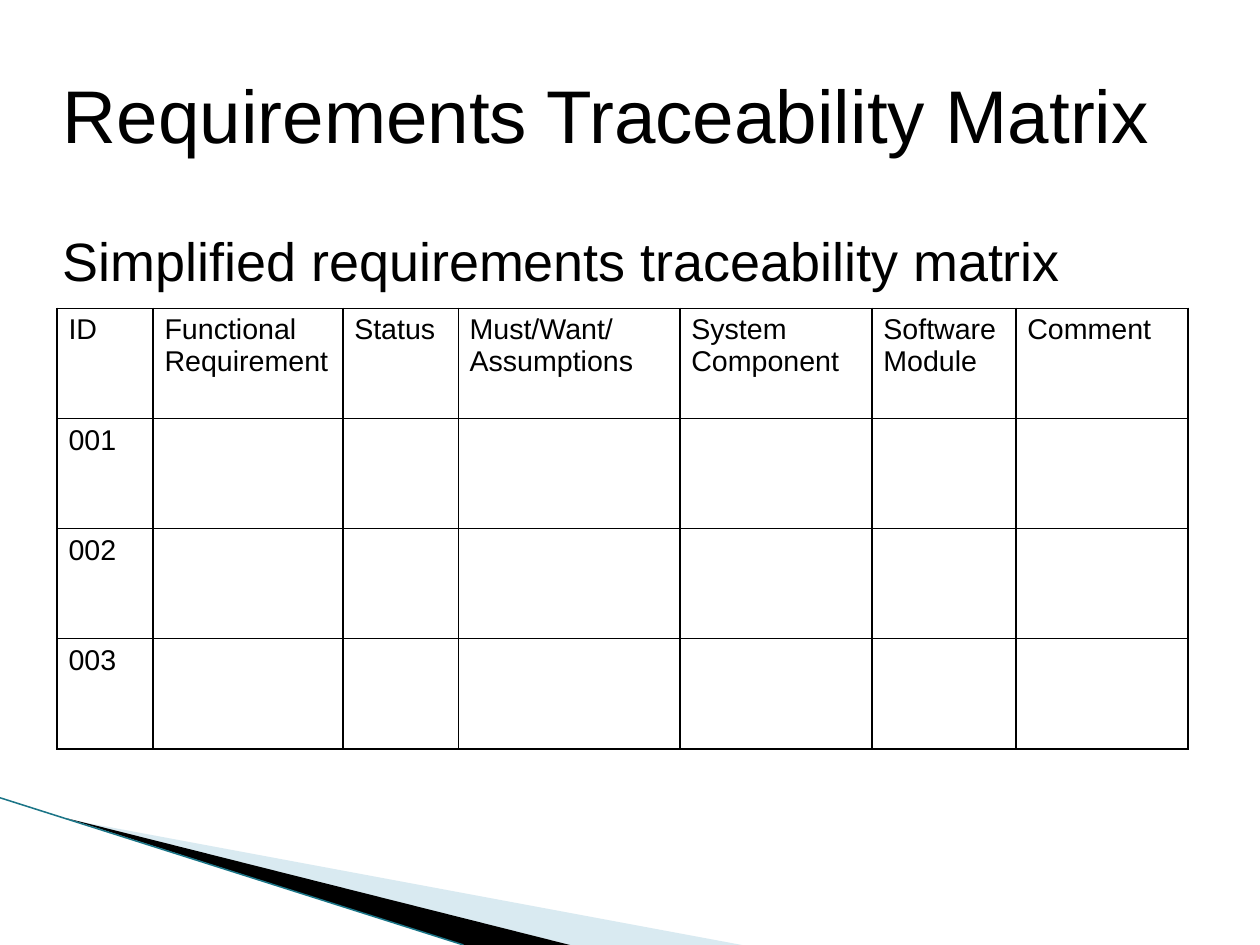
from lxml.etree import SubElement
from pptx import Presentation
from pptx.dml.color import RGBColor
from pptx.enum.shapes import MSO_CONNECTOR
from pptx.enum.text import MSO_ANCHOR, PP_ALIGN
from pptx.oxml.ns import qn
from pptx.util import Pt

TITLE = "Requirements Traceability Matrix"
SUBTITLE = "Simplified requirements traceability matrix"
HEADERS = ["ID", "Functional Requirement", "Status", "Must/Want/ Assumptions",
           "System Component", "Software Module", "Comment"]
IDS = ["001", "002", "003"]
COL_WIDTHS = [60.5, 119.5, 72.7, 139.7, 121, 90.7, 108.4]
ROW_HEIGHT = 69.4
COLORS = {"text": "000000", "paper": "FFFFFF", "pale": "A0CBDC",
          "black": "000000", "edge": "1B7587"}
WIDTH, HEIGHT = 793.75, 595.25
LEFT, TEXT_WIDTH = 39.6, 714.2
WEDGES = [  # color, opacity in percent, corners
    ("pale", 40, [(43.2, 516.2), (467.5, HEIGHT), (359.2, HEIGHT)]),
    ("black", 100, [(42.5, 515.5), (359.2, HEIGHT), (292, HEIGHT)]),
]
EDGE = [(0, 502.5), (292, HEIGHT)]


def rgb(name):
    return RGBColor.from_string(COLORS[name])


def write(tf, text, size):
    p = tf.paragraphs[0]
    p.alignment = PP_ALIGN.LEFT
    r = p.add_run()
    r.text = text
    r.font.name, r.font.size = "Arial", Pt(size)
    r.font.color.rgb = rgb("text")


def clear_margins(tf):
    tf.word_wrap = True
    tf.margin_left = tf.margin_right = tf.margin_top = tf.margin_bottom = 0


def place(sp, left, top, width, height):
    sp.left, sp.top, sp.width, sp.height = (Pt(v) for v in (left, top, width, height))


def add_wedge(s, color, opacity, corners):
    start, *rest = [(Pt(x), Pt(y)) for x, y in corners]
    builder = s.shapes.build_freeform(*start)
    builder.add_line_segments(rest, close=True)
    sp = builder.convert_to_shape()
    sp.shadow.inherit = False
    sp.line.fill.background()
    sp.fill.solid()
    sp.fill.fore_color.rgb = rgb(color)
    if opacity < 100:
        clr = sp._element.spPr.find(qn("a:solidFill")).find(qn("a:srgbClr"))
        SubElement(clr, qn("a:alpha"), val=str(opacity * 1000))


def style_cell(cell):
    """Give the cell four thin borders and a plain fill."""
    tcPr = cell._tc.get_or_add_tcPr()
    for side in ("lnL", "lnR", "lnT", "lnB"):
        ln = SubElement(tcPr, qn("a:" + side), w=str(Pt(1)))
        fill = SubElement(ln, qn("a:solidFill"))
        SubElement(fill, qn("a:srgbClr"), val=COLORS["black"])
    cell.fill.solid()
    cell.fill.fore_color.rgb = rgb("paper")


def add_matrix(s):
    rows = [HEADERS] + [[i] + [""] * (len(HEADERS) - 1) for i in IDS]
    table = s.shapes.add_table(len(rows), len(HEADERS), Pt(36), Pt(194.2),
                               Pt(sum(COL_WIDTHS)), Pt(ROW_HEIGHT * len(rows))).table
    table.first_row = table.horz_banding = False
    for col, width in zip(table.columns, COL_WIDTHS):
        col.width = Pt(width)
    for row, texts in zip(table.rows, rows):
        row.height = Pt(ROW_HEIGHT)
        for cell, text in zip(row.cells, texts):
            style_cell(cell)
            if text:
                write(cell.text_frame, text, 18)


def main():
    prs = Presentation()
    prs.slide_width, prs.slide_height = Pt(WIDTH), Pt(HEIGHT)
    s = prs.slides.add_slide(prs.slide_layouts[5])
    s.background.fill.solid()
    s.background.fill.fore_color.rgb = rgb("paper")

    for wedge in WEDGES:
        add_wedge(s, *wedge)
    start, end = EDGE
    edge = s.shapes.add_connector(MSO_CONNECTOR.STRAIGHT,
                                  *(Pt(v) for v in start + end))
    edge.line.color.rgb = rgb("edge")
    edge.line.width = Pt(0.95)
    SubElement(edge._element.spPr, qn("a:effectLst"))

    title = s.shapes.title
    place(title, LEFT, 18.5, TEXT_WIDTH, 106.2)
    clear_margins(title.text_frame)
    title.text_frame.vertical_anchor = MSO_ANCHOR.MIDDLE
    write(title.text_frame, TITLE, 47)

    subtitle = s.shapes.add_textbox(Pt(LEFT), Pt(143.3), Pt(TEXT_WIDTH), Pt(344.9))
    clear_margins(subtitle.text_frame)
    write(subtitle.text_frame, SUBTITLE, 34)

    add_matrix(s)
    prs.save("out.pptx")


if __name__ == "__main__":
    main()
